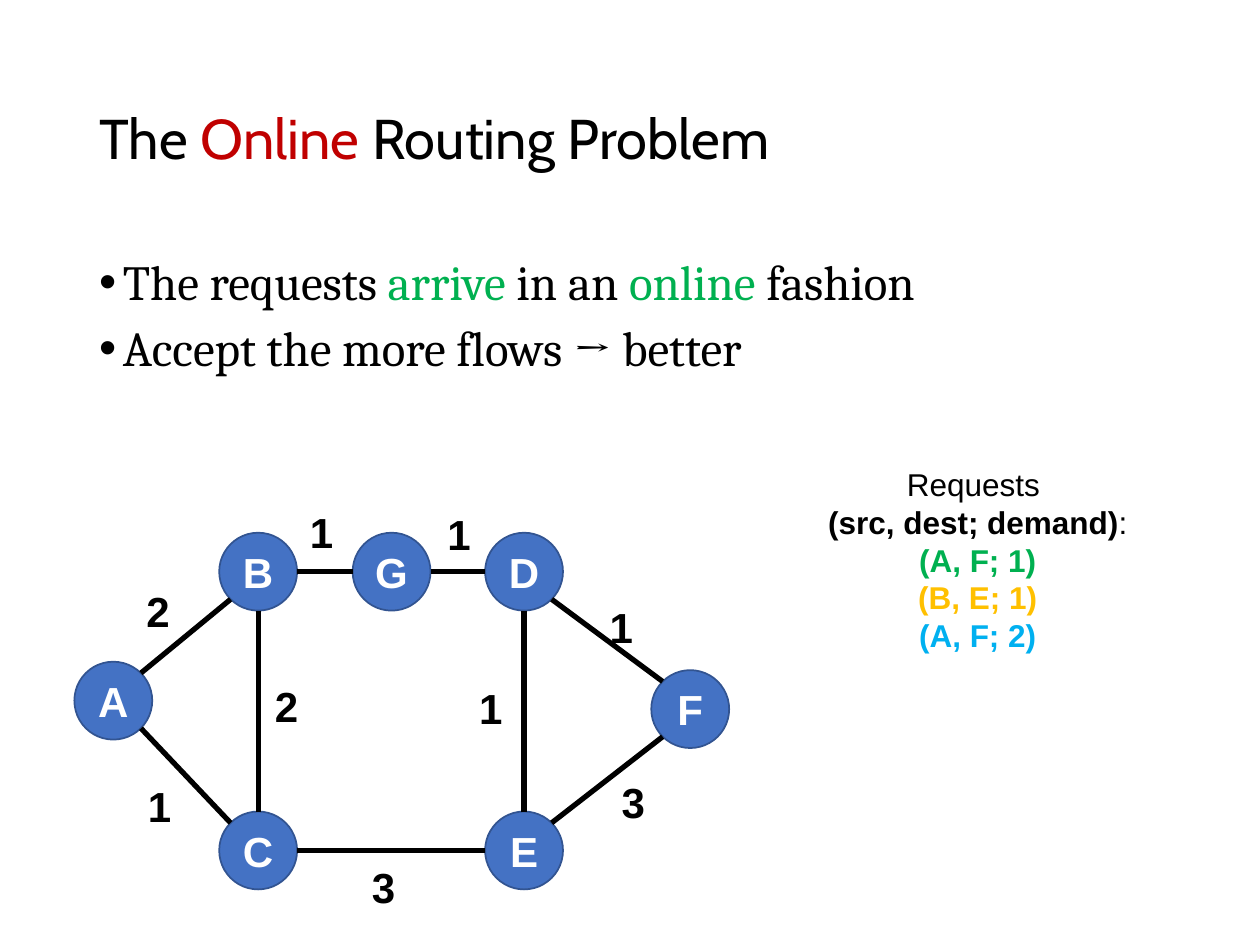
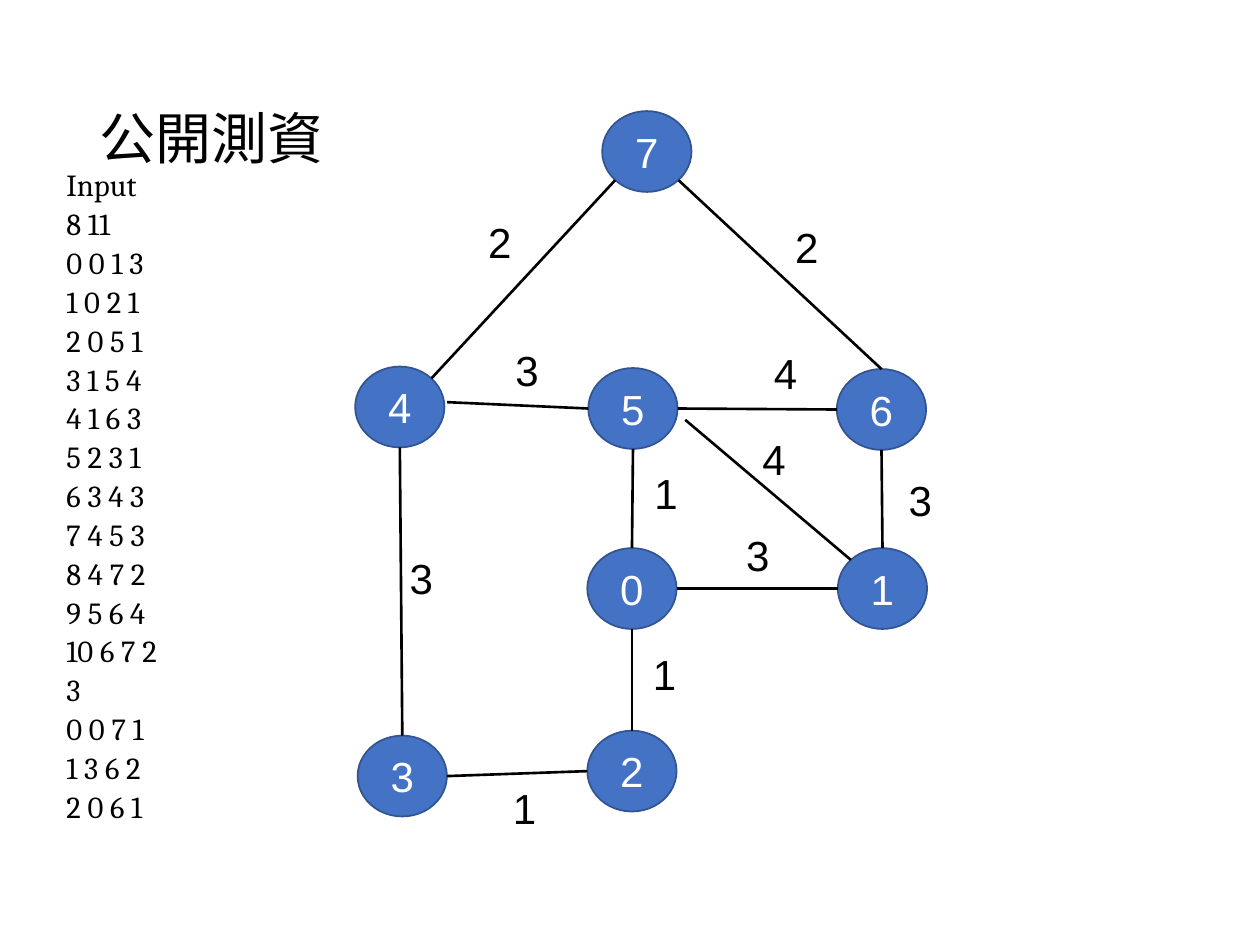
from lxml import etree
from pptx import Presentation
from pptx.dml.color import RGBColor
from pptx.enum.shapes import MSO_CONNECTOR, MSO_SHAPE
from pptx.enum.text import MSO_ANCHOR, PP_ALIGN
from pptx.oxml.ns import qn
from pptx.util import Cm, Pt

LINE, OVAL = MSO_CONNECTOR.STRAIGHT, MSO_SHAPE.OVAL
LEFT, CENTER = PP_ALIGN.LEFT, PP_ALIGN.CENTER
TOP, MIDDLE = MSO_ANCHOR.TOP, MSO_ANCHOR.MIDDLE

BLACK = RGBColor(0x00, 0x00, 0x00)
WHITE = RGBColor(0xFF, 0xFF, 0xFF)
RED = RGBColor(0xC0, 0x00, 0x00)
GREEN = RGBColor(0x00, 0xB0, 0x50)
GOLD = RGBColor(0xFF, 0xC0, 0x00)
SKY = RGBColor(0x00, 0xB0, 0xF0)
BLUE = RGBColor(0x44, 0x72, 0xC4)
NAVY = RGBColor(0x32, 0x54, 0x91)

# Points on a node's rim, in half widths and half heights from its centre
N, S, W, E = (0, -1), (0, 1), (-1, 0), (1, 0)
NW, NE, SW, SE = (-0.71, -0.71), (0.71, -0.71), (-0.71, 0.71), (0.71, 0.71)


def write(slide, box, lines, face, size, align=LEFT, anchor=TOP,
          space=1.0, gap=0, bullet=False):
    """Add a text box; each line is a list of (text, colour, bold) runs."""
    frame = slide.shapes.add_textbox(*[Cm(v) for v in box]).text_frame
    frame.word_wrap = True
    frame.vertical_anchor = anchor
    for i, line in enumerate(lines):
        para = frame.add_paragraph() if i else frame.paragraphs[0]
        para.alignment = align
        para.line_spacing = space
        para.space_before = Pt(gap if i else 0)
        if bullet:
            props = para._p.get_or_add_pPr()
            props.set("marL", str(Cm(0.48)))
            props.set("indent", str(Cm(-0.48)))
            etree.SubElement(props, qn("a:buFont")).set("typeface", "Arial")
            etree.SubElement(props, qn("a:buChar")).set("char", "•")
        for text, color, bold in line:
            run = para.add_run()
            run.text = text
            run.font.name, run.font.size = face, Pt(size)
            run.font.color.rgb, run.font.bold = color, bold


def draw(slide, nodes, links, wide, high, weight, bold):
    """Draw a weighted graph of round nodes."""
    for name, (x, y) in nodes.items():
        node = slide.shapes.add_shape(OVAL, Cm(x), Cm(y), Cm(wide), Cm(high))
        node.shadow.inherit = False
        node.fill.solid()
        node.fill.fore_color.rgb = BLUE
        node.line.color.rgb = NAVY
        node.line.width = Pt(1)
        frame = node.text_frame
        frame.margin_left = frame.margin_right = 0
        frame.vertical_anchor = MIDDLE
        para = frame.paragraphs[0]
        para.text = name
        para.alignment = CENTER
        font = para.runs[0].font
        font.name, font.size, font.bold = "Arial", Pt(24), bold
        font.color.rgb = WHITE

    for pair, rims, cost, spot in links:
        ends = []
        for name, (across, down) in zip(pair, rims):
            x, y = nodes[name]
            ends += [Cm(x + wide / 2 * (1 + across)),
                     Cm(y + high / 2 * (1 + down))]
        edge = slide.shapes.add_connector(LINE, *ends)
        edge.line.color.rgb = BLACK
        edge.line.width = Pt(weight)
        etree.SubElement(edge._element.spPr, qn("a:effectLst"))
        write(slide, (*spot, 0.99, 1.27), [[(cost, BLACK, bold)]],
              "Arial", 24, CENTER)


# Shared page setup and titles
deck = Presentation()
deck.slide_width, deck.slide_height = Cm(25.4), Cm(19.05)
titles = [
    [("The ", BLACK, False), ("Online", RED, False),
     (" Routing Problem", BLACK, False)],
    [("公開測資", BLACK, False)],
]
pages = []
for title in titles:
    page = deck.slides.add_slide(deck.slide_layouts[6])
    write(page, (1.75, 1.02, 21.89, 3.68), [title], "Cabin", 32,
          anchor=MIDDLE, space=0.9)
    pages.append(page)
routing, sample = pages

# Slide 1: bullets
points = [
    [("The requests ", BLACK, False), ("arrive", GREEN, False),
     (" in an ", BLACK, False), ("online", GREEN, False),
     (" fashion", BLACK, False)],
    [("Accept the more flows → better", BLACK, False)],
]
write(routing, (1.75, 5.08, 21.89, 12.09), points, "Cambria", 28,
      space=0.9, gap=7.5, bullet=True)

# Slide 1: list of requests
asks = [
    [("Requests ", BLACK, False)],
    [("(src, dest; demand)", BLACK, True), (":", BLACK, False)],
    [("(A, F; 1)", GREEN, True)],
    [("(B, E; 1)", GOLD, True)],
    [("(A, F; 2)", SKY, True)],
]
write(routing, (16.41, 9.25, 6.6, 4.88), asks, "Arial", 18, CENTER)

# Slide 1: network, each link as nodes, rim points, cost, label place
nodes = {
    "A": (1.5, 13.34), "B": (4.42, 10.74), "C": (4.42, 16.36),
    "D": (9.78, 10.74), "E": (9.78, 16.36), "F": (13.13, 13.51),
    "G": (7.11, 10.74),
}
links = [
    ("AB", (NE, SW), "2", (2.69, 11.68)),
    ("AC", (SE, NW), "1", (2.72, 15.6)),
    ("BG", (E, W), "1", (5.99, 10.08)),
    ("GD", (E, W), "1", (8.76, 10.13)),
    ("BC", (S, N), "2", (5.28, 13.59)),
    ("DE", (S, N), "1", (9.4, 13.64)),
    ("CE", (E, W), "3", (7.24, 17.25)),
    ("DF", (SE, NW), "1", (12.03, 12.01)),
    ("EF", (NE, SW), "3", (12.27, 15.52)),
]
draw(routing, nodes, links, 1.57, 1.57, 3, True)

# Slide 2: input listing
rows = ["Input", "8 11", "0 0 1 3", "1 0 2 1", "2 0 5 1", "3 1 5 4",
        "4 1 6 3", "5 2 3 1", "6 3 4 3", "7 4 5 3", "8 4 7 2", "9 5 6 4",
        "10 6 7 2", "3", "0 0 7 1", "1 3 6 2", "2 0 6 1"]
write(sample, (1.09, 3.43, 24.3, 14.6), [[(row, BLACK, False)] for row in rows],
      "Cambria", 17.5, space=0.7, gap=7.5)

# Slide 2: network
nodes = {
    "0": (11.84, 11.05), "1": (16.89, 11.05), "2": (11.84, 14.73),
    "3": (7.21, 14.83), "4": (7.16, 7.39), "5": (11.86, 7.42),
    "6": (16.87, 7.44), "7": (12.14, 2.24),
}
links = [
    ("01", (E, W), "3", (14.78, 10.54)),
    ("02", (S, N), "1", (12.9, 12.95)),
    ("50", (S, N), "1", (12.93, 9.3)),
    ("51", ((1.17, 0.28), NW), "4", (15.11, 8.61)),
    ("16", (N, S), "3", (18.06, 9.45)),
    ("32", (E, W), "1", (10.08, 15.65)),
    ("34", (N, S), "3", (8, 11.02)),
    ("45", ((1.06, -0.12), W), "3", (10.13, 6.83)),
    ("47", (NE, SW), "2", (9.58, 4.24)),
    ("76", (SE, N), "2", (15.77, 4.34)),
    ("56", (E, W), "4", (15.34, 6.88)),
]
draw(sample, nodes, links, 1.8, 1.63, 1.5, False)

deck.save("out.pptx")
